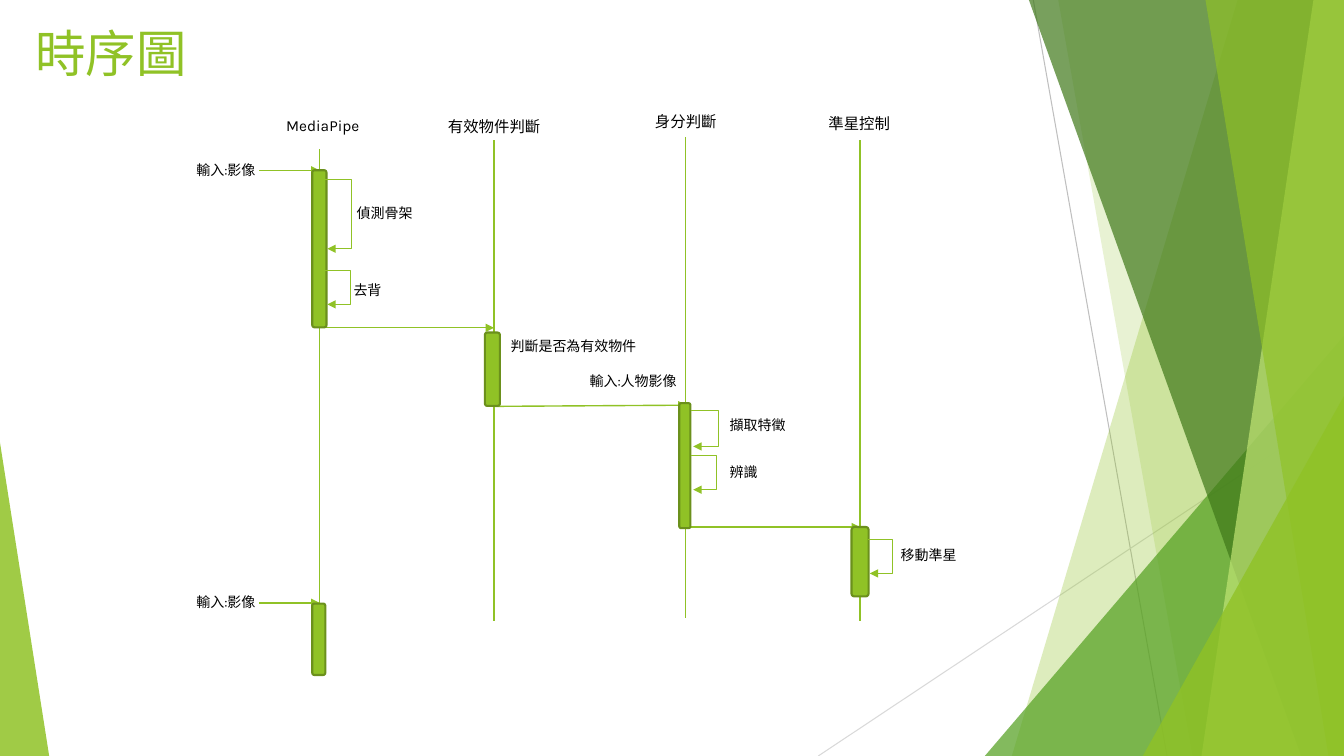
"""Build the sequence diagram slide."""
from lxml.etree import SubElement
from pptx import Presentation
from pptx.dml.color import RGBColor
from pptx.enum.shapes import MSO_CONNECTOR as CONN, MSO_SHAPE as SHAPE
from pptx.enum.text import MSO_ANCHOR as ANCHOR, PP_ALIGN as ALIGN
from pptx.oxml.ns import qn
from pptx.util import Cm, Pt

COLORS = {
    "green": "90C226", "edge": "6B901C", "leaf": "54A021", "forest": "3F7819",
    "lime": "C0E474", "grey": "BFBFBF", "pale": "D9D9D9", "text": "000000",
}
W, H = 33.87, 19.05


def add_text(text, shape=None, box=None, size=10, color="text", align=ALIGN.LEFT):
    shape = shape or s.shapes.add_textbox(*map(Cm, box))
    tf = shape.text_frame
    tf.word_wrap = True
    tf.vertical_anchor = ANCHOR.TOP
    p = tf.paragraphs[0]
    p.alignment = align
    r = p.add_run()
    r.text = text
    r.font.name = "Karla"
    r.font.size = Pt(size)
    r.font.color.rgb = RGBColor.from_string(COLORS[color])


def add_line(x1, y1, x2, y2, color="green", width=1, arrow=False, kind=CONN.STRAIGHT):
    c = s.shapes.add_connector(kind, Cm(x1), Cm(y1), Cm(x2), Cm(y2))
    c.line.color.rgb = RGBColor.from_string(COLORS[color])
    c.line.width = Pt(width)
    if arrow:
        SubElement(c.line._get_or_add_ln(), qn("a:tailEnd"), type="triangle")
    SubElement(c._element.spPr, qn("a:effectLst"))
    return c


prs = Presentation()
prs.slide_width, prs.slide_height = Cm(W), Cm(H)
s = prs.slides.add_slide(prs.slide_layouts[5])

add_line(26.04, 0, 29.41, H, color="grey", width=0.75)
add_line(W, 10.24, 20.62, H, color="pale", width=0.75)

facets = [
    ("band", (31.19, 25.5), "green", 30),
    ("band", (26.67, 30.05), "green", 20),
    ("triangle", (24.82, 8.46, 9.05, 1), "leaf", 72),
    ("band", (25.93, 32.79), "forest", 70),
    ("band", (33.1, 30.28), "lime", 70),
    ("band", (30.38, 33.48), "green", 65),
    ("triangle", (28.8, 9.98, 5.07, 1), "green", 80),
    ("triangle", (0, 11.15, 1.24, 0), "green", 85),
]
for kind, geometry, color, opacity in facets:
    if kind == "band":
        top_x, bottom_x = geometry
        fb = s.shapes.build_freeform(Cm(top_x), 0)
        fb.add_line_segments([(Cm(W), 0), (Cm(W), Cm(H)), (Cm(bottom_x), Cm(H))])
        sp = fb.convert_to_shape()
    else:
        x, y, w, apex = geometry
        sp = s.shapes.add_shape(SHAPE.ISOSCELES_TRIANGLE, Cm(x), Cm(y), Cm(w), Cm(H - y))
        sp.adjustments[0] = apex
    sp.shadow.inherit = False
    sp.line.fill.background()
    sp.fill.solid()
    sp.fill.fore_color.rgb = RGBColor.from_string(COLORS[color])
    rgb = sp._element.spPr.find(qn("a:solidFill"))[0]
    SubElement(rgb, qn("a:alpha"), val=str(opacity * 1000))

title = s.shapes.title
title.left, title.top, title.width, title.height = Cm(0.64), Cm(0.43), Cm(23.88), Cm(2.01)
add_text("時序圖", shape=title, size=36, color="green")

lifelines = [
    ("MediaPipe", 8.05, 3.76, (6.96, 2.79, 2.57, 0.74), ALIGN.LEFT),
    ("有效物件判斷", 12.45, 3.53, (10.74, 2.82, 3.43, 0.74), ALIGN.CENTER),
    ("身分判斷", 17.27, 3.45, (15.57, 2.69, 3.43, 0.74), ALIGN.CENTER),
    ("準星控制", 21.67, 3.53, (19.94, 2.74, 3.43, 0.74), ALIGN.CENTER),
]
for name, x, y, box, align in lifelines:
    add_line(x, y, x, y + 12.12)
    add_text(name, box=box, size=11, align=align)

messages = [
    (6.53, 4.29, 8.05, 4.29),
    (8.05, 8.26, 12.45, 8.26),
    (12.42, 10.24, 17.3, 10.21),
    (17.25, 13.28, 21.67, 13.28),
    (6.53, 15.19, 8.05, 15.19),
]
for ends in messages:
    add_line(*ends, arrow=True)

activations = [
    (7.87, 4.29, 0.36, 3.96),
    (12.22, 8.38, 0.38, 1.85),
    (17.12, 10.16, 0.28, 3.15),
    (21.46, 13.28, 0.43, 1.75),
    (7.87, 15.21, 0.33, 1.8),
]
for box in activations:
    bar = s.shapes.add_shape(SHAPE.ROUNDED_RECTANGLE, *map(Cm, box))
    bar.shadow.inherit = False
    bar.fill.solid()
    bar.fill.fore_color.rgb = RGBColor.from_string(COLORS["green"])
    bar.line.color.rgb = RGBColor.from_string(COLORS["edge"])
    bar.line.width = Pt(1.5)

STEP = 0.05
self_calls = [
    (8.2, 4.52, 6.27, 8.86),
    (8.2, 6.81, 7.67, 8.84),
    (17.42, 10.34, 11.25, 18.11),
    (17.42, 11.48, 12.34, 18.06),
    (21.87, 13.59, 14.45, 22.5),
]
for x, top, bottom, reach in self_calls:
    loop = add_line(x, top, x + STEP, bottom, arrow=True, kind=CONN.ELBOW)
    guides = loop._element.spPr.find(qn("a:prstGeom")).get_or_add_avLst()
    bend = round((reach - x) / STEP * 100000)
    SubElement(guides, qn("a:gd"), name="adj1", fmla=f"val {bend}")

notes = [
    ("輸入:影像", 4.7, 3.94, 2.11),
    ("偵測骨架", 8.74, 5.03, 2.06),
    ("去背", 8.66, 6.96, 1.27),
    ("輸入:人物影像", 14.61, 9.25, 2.97),
    ("判斷是否為有效物件", 12.62, 8.38, 3.78),
    ("擷取特徵", 18.14, 10.36, 2.26),
    ("辨識", 18.14, 11.56, 2.26),
    ("移動準星", 22.45, 13.64, 2.26),
    ("輸入:影像", 4.7, 14.83, 2.11),
]
for text, x, y, w in notes:
    add_text(text, box=(x, y, w, 0.69))

prs.save("out.pptx")
